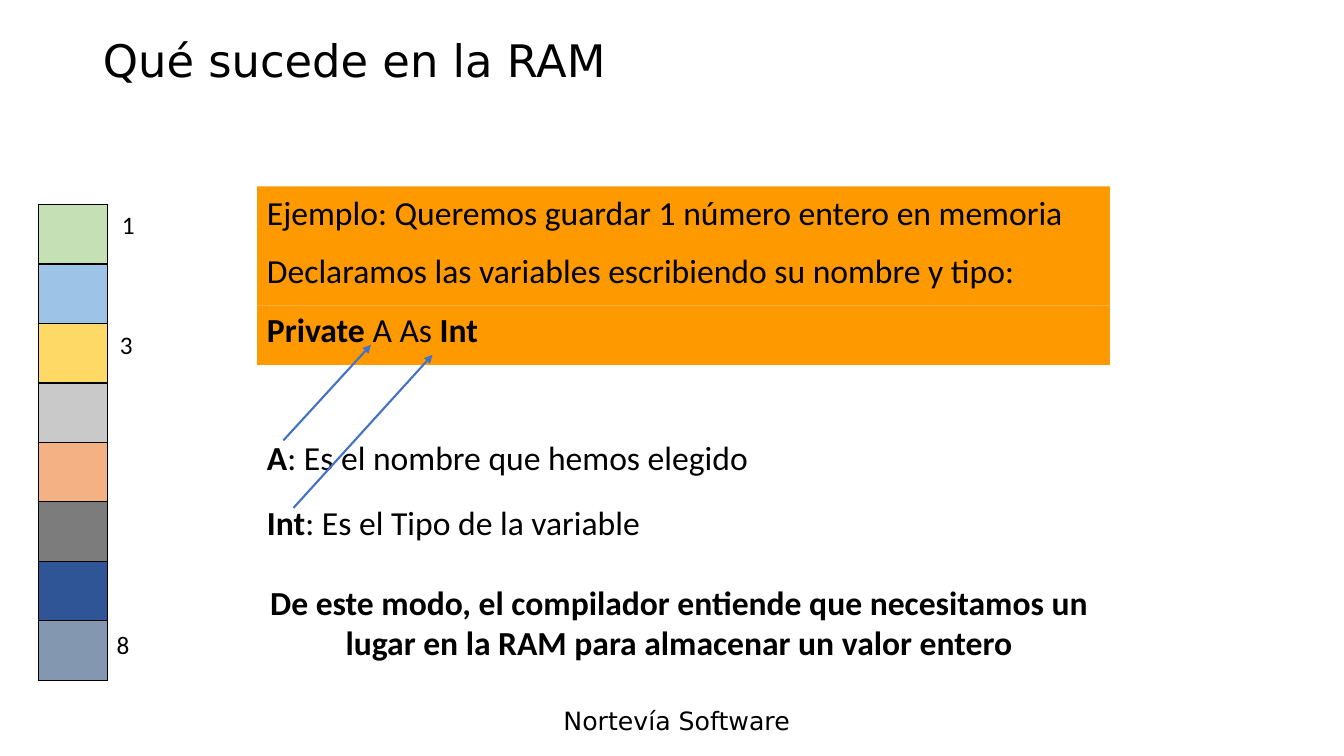
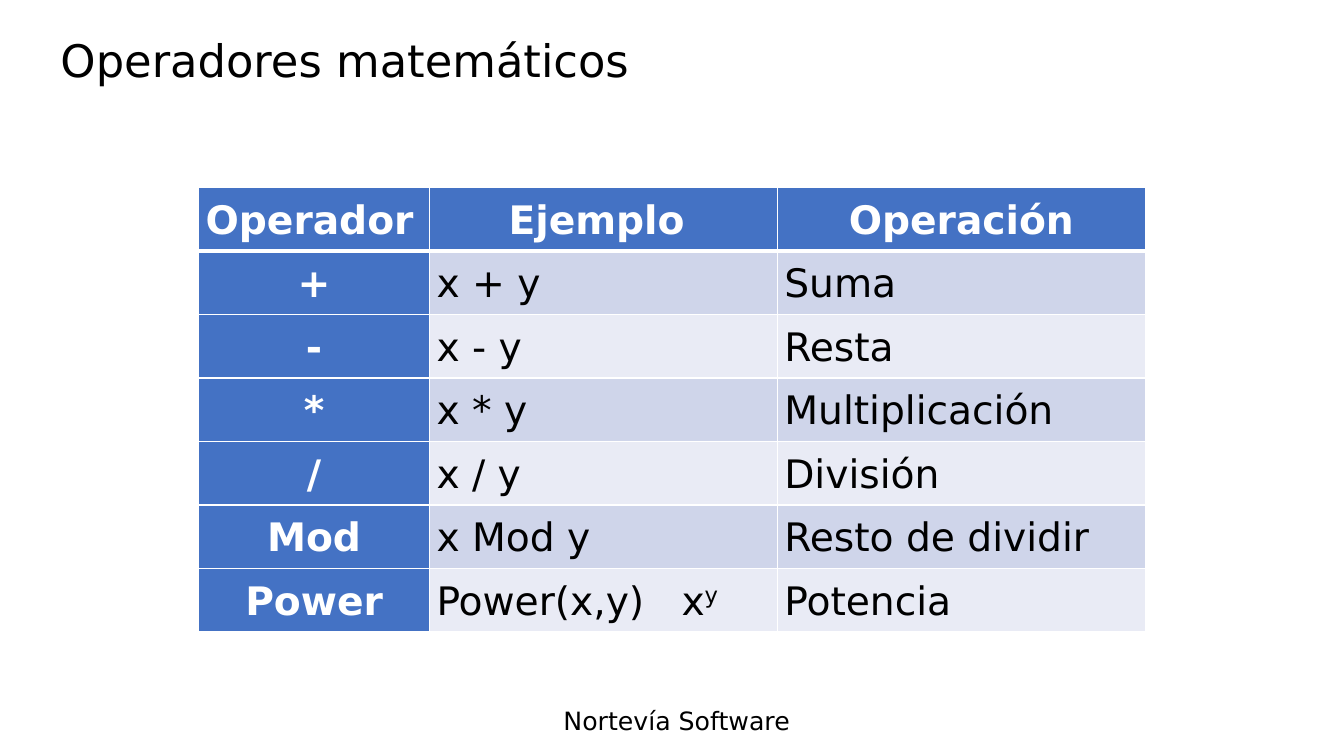
"""Build two slides on variables in RAM and on math operators."""
from lxml import etree
from pptx import Presentation
from pptx import util as u
from pptx.dml.color import RGBColor
from pptx.enum import shapes, text
from pptx.oxml.ns import qn

BLACK = RGBColor(0, 0, 0)
WHITE = RGBColor(255, 255, 255)
BLUE = RGBColor(0x44, 0x72, 0xC4)
ORANGE = RGBColor(0xFE, 0x99, 0x00)
BANDS = [RGBColor(0xCF, 0xD5, 0xEA), RGBColor(0xE9, 0xEB, 0xF5)]
CELLS = [RGBColor.from_string(c) for c in (
    "C5E0B4", "9DC3E6", "FFD966", "C9C9C9",
    "F4B183", "7C7C7C", "2F5597", "8497B0")]
SANS, BODY = "DejaVu Sans", "Calibri"
LEFT, CENTER = text.PP_ALIGN.LEFT, text.PP_ALIGN.CENTER
FOOTER = "Nortevía Software"

RAM = {
    "title": ("Qué sucede en la RAM", 0.92),
    "marks": [("1", 1.11, 2.03), ("3", 1.09, 3.22), ("8", 1.06, 6.19)],
    "notes": [
        ("Ejemplo: Queremos guardar 1 número entero en memoria",
         (2.55, 1.85, 8.46, 0.5)),
        ("Declaramos las variables escribiendo su nombre y tipo:",
         (2.55, 2.43, 7.83, 0.5)),
        ([("Private", True), (" A As ", False), ("Int", True)],
         (2.55, 3.02, 2.97, 0.5)),
        ([("A", True), (": Es el nombre que hemos elegido", False)],
         (2.55, 4.29, 5, 0.5)),
        ([("Int", True), (": Es el Tipo de la variable", False)],
         (2.55, 4.93, 5, 0.5)),
    ],
    "close": ("De este modo, el compilador entiende que necesitamos un "
              "lugar en la RAM para almacenar un valor entero",
              (2.46, 5.72, 8.55, 0.91)),
    "arrows": [(2.81, 4.37, 3.68, 3.42), (2.91, 5.04, 4.29, 3.52)],
}
MATH = {
    "title": ("Operadores matemáticos", 0.5),
    "cols": [2.29, 3.45, 3.65],
    "rows": [
        ("Operador", "Ejemplo ", "Operación"),
        ("+", "x + y", "Suma"),
        ("-", "x - y", "Resta"),
        ("*", "x * y", "Multiplicación"),
        ("/", "x / y", "División"),
        ("Mod", "x Mod y", "Resto de dividir"),
        ("Power", "Power(x,y)\tx", "Potencia"),
    ],
}


def inch(*nums):
    return [u.Inches(n) for n in nums]


def write(frame, runs, size=24, font=BODY, color=BLACK, bold=False,
          align=LEFT, lead=None, after=None):
    para = frame.paragraphs[0]
    para.alignment = align
    if lead:
        para.line_spacing = lead
    if after:
        para.space_after = u.Pt(after)
    for words, heavy in [(runs, bold)] if isinstance(runs, str) else runs:
        run = para.add_run()
        run.text = words
        run.font.size, run.font.name = u.Pt(size), font
        run.font.bold, run.font.color.rgb = heavy, color
    return para


def label(slide, runs, box, wrap=True, **style):
    frame = slide.shapes.add_textbox(*inch(*box)).text_frame
    frame.word_wrap = wrap
    frame.auto_size = text.MSO_AUTO_SIZE.SHAPE_TO_FIT_TEXT
    write(frame, runs, **style)


def start(deck, title, left):
    slide = deck.slides.add_slide(deck.slide_layouts[5])
    head = slide.shapes.title
    head.left, head.top, head.width, head.height = inch(
        left, 0.15, 12.42 - left, 0.95)
    frame = head.text_frame
    frame.auto_size = text.MSO_AUTO_SIZE.NONE
    frame.vertical_anchor = text.MSO_ANCHOR.MIDDLE
    write(frame, title, size=32, font=SANS, lead=0.9)
    label(slide, FOOTER, (5.49, 6.95, 2.9, 0.4), size=18, font=SANS)
    return slide


def grid(slide, left, top, cols, count, high):
    table = slide.shapes.add_table(
        count, len(cols), *inch(left, top, sum(cols), count * high)).table
    for col, wide in zip(table.columns, cols):
        col.width = u.Inches(wide)
    for row in table.rows:
        row.height = u.Inches(high)
    return table


def paint(cell, fill, edge, top=1, base=1):
    props = cell._tc.get_or_add_tcPr()
    for side, wide in zip("LRTB", (1, 1, top, base)):
        line = etree.SubElement(props, qn(f"a:ln{side}"), w=str(u.Pt(wide)))
        solid = etree.SubElement(line, qn("a:solidFill"))
        etree.SubElement(solid, qn("a:srgbClr"), val=str(edge))
    cell.fill.solid()
    cell.fill.fore_color.rgb = fill


def arrow(slide, ends):
    line = slide.shapes.add_connector(
        shapes.MSO_CONNECTOR.STRAIGHT, *inch(*ends))
    line.line.color.rgb = BLUE
    line.line.width = u.Pt(1.5)
    etree.SubElement(line.line._get_or_add_ln(), qn("a:tailEnd"),
                     type="triangle")
    etree.SubElement(line._element.spPr, qn("a:effectLst"))


def ram(deck):
    slide = start(deck, *RAM["title"])
    for i in range(3):
        band = slide.shapes.add_shape(
            shapes.MSO_SHAPE.RECTANGLE, *inch(2.55, 1.85 + i * 0.59, 8.46, 0.59))
        band.shadow.inherit = False
        band.fill.solid()
        band.fill.fore_color.rgb = ORANGE
        band.line.fill.background()
    table = grid(slide, 0.38, 2.03, [0.69], len(CELLS), 0.59)
    for i, color in enumerate(CELLS):
        paint(table.cell(i, 0), color, BLACK)
    for mark, left, top in RAM["marks"]:
        label(slide, mark, (left, top, 0.33, 0.4), wrap=False, size=18)
    for runs, box in RAM["notes"]:
        label(slide, runs, box)
    label(slide, *RAM["close"], bold=True, align=CENTER)
    for ends in RAM["arrows"]:
        arrow(slide, ends)


def power(para):
    tabs = etree.SubElement(para._p.get_or_add_pPr(), qn("a:tabLst"))
    etree.SubElement(tabs, qn("a:tab"), pos=str(u.Inches(2.43)), algn="l")
    run = para.add_run()
    run.text = "y"
    run.font.size, run.font.name = u.Pt(28), SANS
    run.font.color.rgb = BLACK
    run._r.get_or_add_rPr().set("baseline", "30000")


def math(deck):
    slide = start(deck, *MATH["title"])
    rows = MATH["rows"]
    table = grid(slide, 1.97, 1.86, MATH["cols"], len(rows), 0.63)
    for r, row in enumerate(rows):
        for c, words in enumerate(row):
            cell = table.cell(r, c)
            head = r == 0 or c == 0
            paint(cell, BLUE if head else BANDS[(r - 1) % 2], WHITE,
                  top=3 if r == 1 else 1, base=3 if r == 0 else 1)
            cell.margin_left = cell.margin_right = u.Inches(0.07)
            cell.margin_top = cell.margin_bottom = 0
            cell.vertical_anchor = text.MSO_ANCHOR.MIDDLE
            para = write(cell.text_frame, words, size=28, font=SANS,
                         color=WHITE if head else BLACK, bold=head,
                         align=CENTER if head and r + c else LEFT,
                         lead=1.07, after=8)
            if "\t" in words:
                power(para)


def main():
    deck = Presentation()
    deck.slide_width, deck.slide_height = inch(13.33, 7.5)
    ram(deck)
    math(deck)
    deck.save("out.pptx")


if __name__ == "__main__":
    main()
